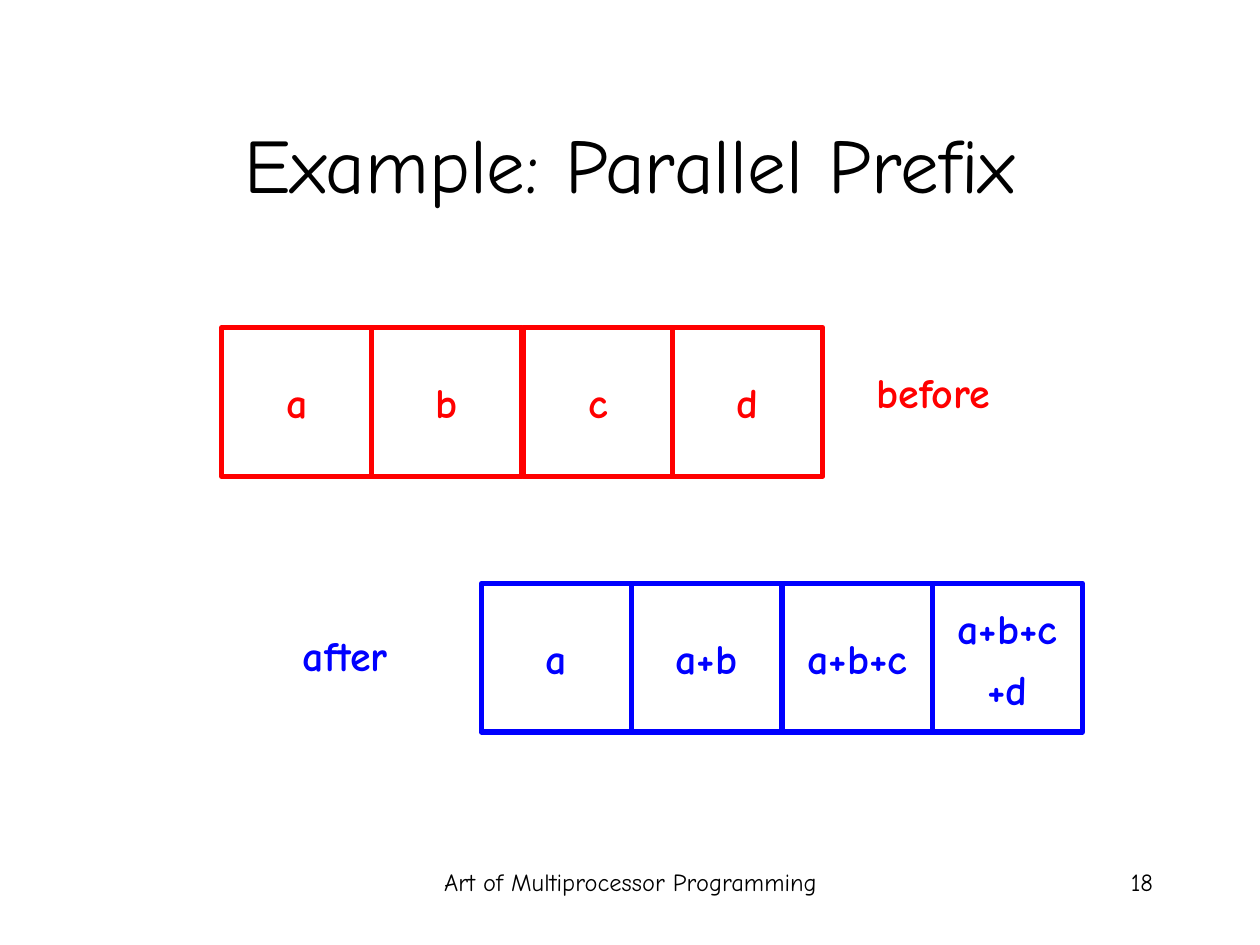
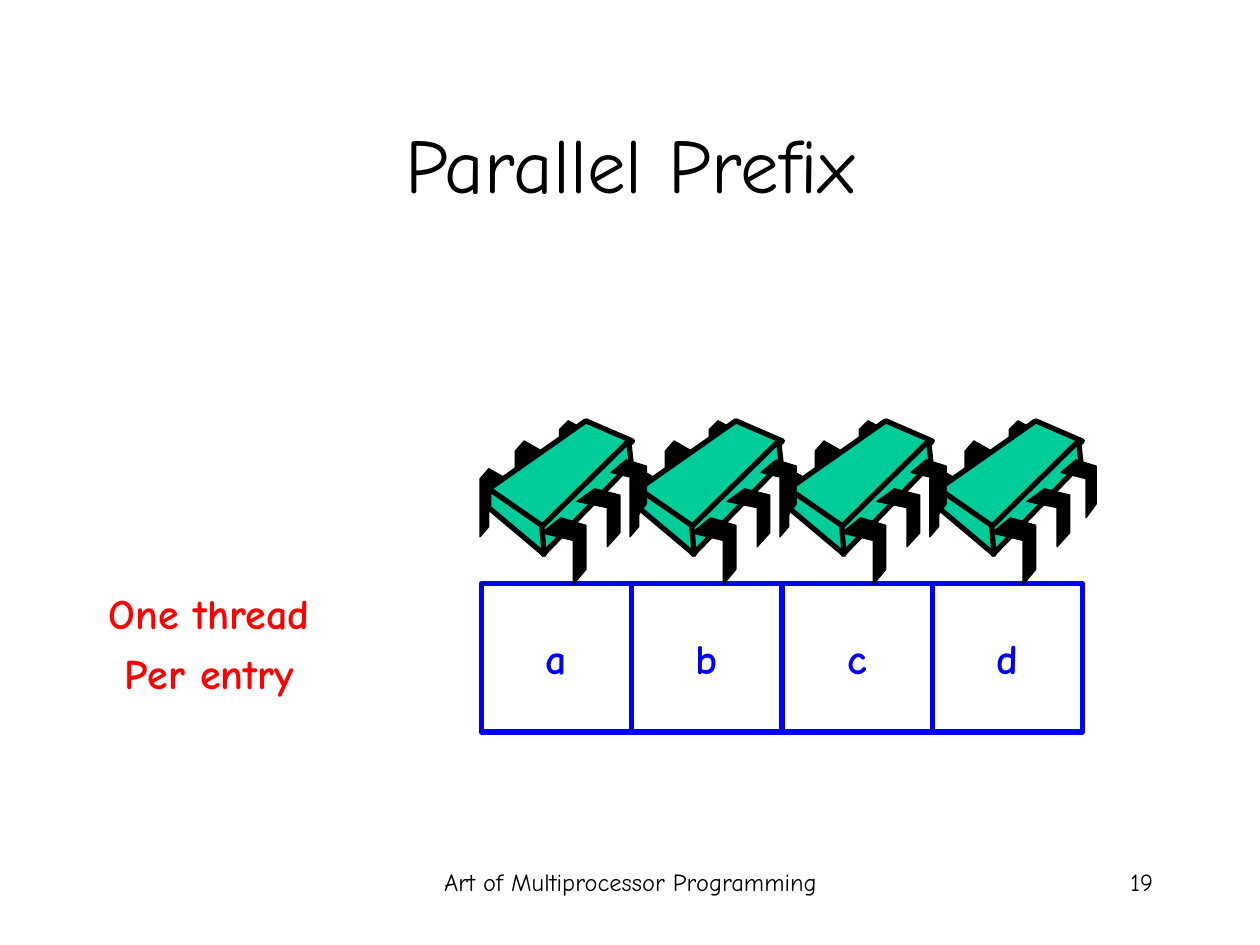
from pptx import Presentation
from pptx import util as u
from pptx.dml.color import RGBColor
from pptx.enum import shapes, text

PX = 9144
FONT = "Comic Neue"
BLACK = RGBColor(0x00, 0x00, 0x00)
RED = RGBColor(0xFF, 0x00, 0x00)
BLUE = RGBColor(0x00, 0x00, 0xFF)
GREEN = RGBColor(0x00, 0xCC, 0x99)

CENTER, RIGHT = text.PP_ALIGN.CENTER, text.PP_ALIGN.RIGHT
TOP, MIDDLE = text.MSO_ANCHOR.TOP, text.MSO_ANCHOR.MIDDLE
TITLE = {"size": u.Pt(44), "bold": False}
FOOTER = {"size": u.Pt(14), "bold": False}
ENTRY = {"size": u.Pt(24), "bold": True}

TITLE_BOX = (75, 67, 850, 125)
FOOTER_BOX = (342, 683, 317, 50)
NUMBER_BOX = (717, 683, 208, 50)
UPPER_ROW = (176, 260, 478, 118)
LOWER_ROW = (382, 463, 478, 118)

CHIP_PITCH = 119
LONG_PIN = [(21, 8), (7, 0), (0, 8), (0, 54), (7, 46), (7, 16), (21, 23)]
SHORT_PIN = [(20, 7), (7, 0), (0, 7), (0, 46), (7, 40), (7, 13), (20, 20)]
CHIP_PARTS = [
    (0, 38, LONG_PIN, BLACK, 0.75),
    (28, 16, LONG_PIN, BLACK, 0.75),
    (63, 0, SHORT_PIN, BLACK, 0.75),
    (7, 0, [(77, 0), (0, 54), (43, 85), (114, 16)], GREEN, 3),
    (49, 16, [(69, 0), (0, 68), (1, 90), (71, 18)], GREEN, 3),
    (7, 54, [(0, 0), (0, 15), (44, 52), (42, 29)], GREEN, 3),
    (49, 77, [(15, 0), (0, 12), (25, 18), (25, 53), (35, 41), (35, 6)], BLACK, 0.75),
    (77, 54, [(14, 0), (0, 10), (24, 15), (24, 46), (34, 35), (34, 5)], BLACK, 0.75),
    (104, 31, [(12, 0), (0, 10), (20, 15), (20, 46), (28, 35), (28, 5)], BLACK, 0.75),
]


def emu(box):
    """Turn a box in px into EMU."""
    return [v * PX for v in box]


def write(sp, words, style, color, align=CENTER, anchor=TOP, wrap=False, before=0):
    """Fill a shape with formatted text, one paragraph a line."""
    tf = sp.text_frame
    tf.text = words
    for name, value in {"word_wrap": wrap, "vertical_anchor": anchor}.items():
        setattr(tf, name, value)
    for p in tf.paragraphs:
        p.alignment, p.space_before = align, u.Pt(before)
        for r in p.runs:
            for name, value in {"name": FONT, **style}.items():
                setattr(r.font, name, value)
            r.font.color.rgb = color


def outline(sp, color, width):
    """Give a shape a plain line and no shadow."""
    sp.line.color.rgb, sp.line.width = color, u.Pt(width)
    sp.shadow.inherit = False


def label(s, box, words, color):
    """Add a bold caption beside a row."""
    write(s.shapes.add_textbox(*emu(box)), words, ENTRY, color, before=6)


def array_row(s, box, entries, color):
    """Split a box into equal outlined cells, one for each entry."""
    x, y, w, h = box
    n = len(entries)
    for i, entry in enumerate(entries):
        cell = (x + w * i // n, y, w // n, h)
        sp = s.shapes.add_shape(shapes.MSO_SHAPE.RECTANGLE, *emu(cell))
        sp.fill.background()
        outline(sp, color, 3)
        write(sp, entry, ENTRY, color, anchor=MIDDLE, before=6)


def chip(s, x, y):
    """Draw one processor chip as a group with its corner at x, y."""
    group = s.shapes.add_group_shape()
    for dx, dy, points, color, width in CHIP_PARTS:
        corners = [(x + dx + px, y + dy + py) for px, py in points]
        builder = group.shapes.build_freeform(*corners[0], scale=PX)
        builder.add_line_segments(corners[1:], close=True)
        sp = builder.convert_to_shape()
        sp.fill.solid()
        sp.fill.fore_color.rgb = color
        outline(sp, BLACK, width)


def base_slide(prs, title, number):
    """Add a slide with its title, footer and number."""
    s = prs.slides.add_slide(prs.slide_layouts[5])
    sp = s.shapes.title
    for name, value in zip(("left", "top", "width", "height"), emu(TITLE_BOX)):
        setattr(sp, name, value)
    write(sp, title, TITLE, BLACK, anchor=MIDDLE, wrap=True)
    for box, words, align in (
        (FOOTER_BOX, "Art of Multiprocessor Programming", CENTER),
        (NUMBER_BOX, str(number), RIGHT),
    ):
        write(s.shapes.add_textbox(*emu(box)), words, FOOTER, BLACK, align, wrap=True)
    return s


def example_slide(prs):
    """Show the array before and after the prefix sums."""
    s = base_slide(prs, "Example: Parallel Prefix", 18)
    array_row(s, UPPER_ROW, ["a", "b", "c", "d"], RED)
    array_row(s, LOWER_ROW, ["a", "a+b", "a+b+c", "a+b+c\n+d"], BLUE)
    label(s, (685, 286, 111, 50), "before", RED)
    label(s, (230, 495, 88, 50), "after", BLUE)


def threads_slide(prs):
    """Show one chip above each array entry."""
    s = base_slide(prs, "Parallel Prefix", 19)
    entries = ["a", "b", "c", "d"]
    array_row(s, LOWER_ROW, entries, BLUE)
    label(s, (76, 461, 180, 99), "One thread\nPer entry", RED)
    x, y = LOWER_ROW[0] - 1, LOWER_ROW[1] - 129
    for i in reversed(range(len(entries))):
        chip(s, x + i * CHIP_PITCH, y)


def main():
    """Build and save the presentation."""
    prs = Presentation()
    prs.slide_width, prs.slide_height = 1000 * PX, 750 * PX
    example_slide(prs)
    threads_slide(prs)
    prs.save("out.pptx")


if __name__ == "__main__":
    main()
